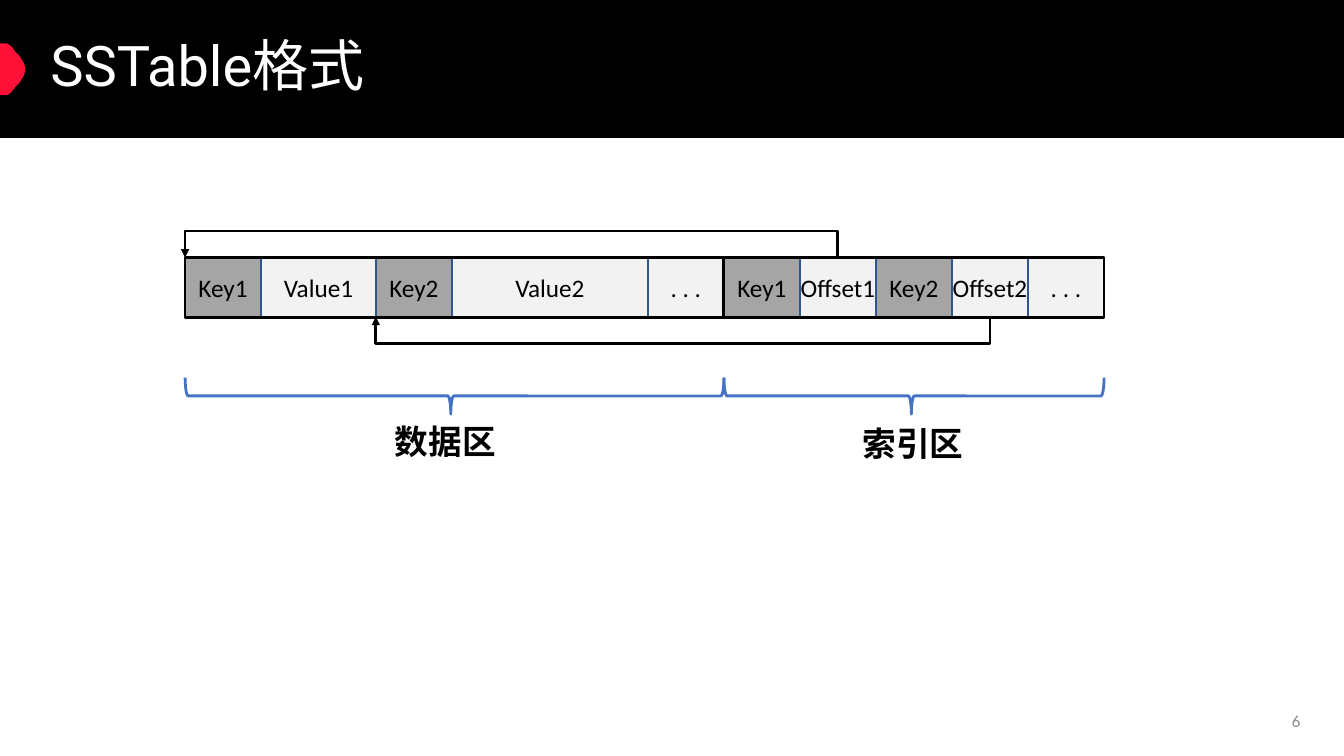
import lxml.etree
import pptx
import pptx.dml.color
import pptx.enum.shapes
import pptx.enum.text
import pptx.oxml.ns
import pptx.util

Pt = pptx.util.Pt
SHAPE = pptx.enum.shapes.MSO_SHAPE
ALIGN = pptx.enum.text.PP_ALIGN
ANCHOR = pptx.enum.text.MSO_ANCHOR
qn = pptx.oxml.ns.qn

COLORS = {"black": "000000", "white": "FFFFFF", "red": "FF1037", "key": "A5A5A5",
          "value": "F2F2F2", "cell_line": "325491", "brace": "4472C4", "number": "8C8C8C"}
UNIT = 54.3
DATA = [("Key1", UNIT), ("Value1", 82), ("Key2", UNIT), ("Value2", 140), (". . .", UNIT)]
INDEX = [(t, UNIT) for t in ("Key1", "Offset1", "Key2", "Offset2", ". . .")]


def rgb(name):
    """Return the named colour."""
    return pptx.dml.color.RGBColor.from_string(COLORS[name])


def paint(sp, fill=None, line=None, width=1):
    """Set fill, line and shadow of a shape."""
    sp.shadow.inherit = False
    for fmt, color in ((sp.fill, fill), (sp.line.fill, line)):
        if color:
            fmt.solid()
            fmt.fore_color.rgb = rgb(color)
        else:
            fmt.background()
    if line:
        sp.line.width = Pt(width)


def write(sp, text, color="black", align=ALIGN.CENTER, inset=0, wrap=True, **font):
    """Write one formatted paragraph into a shape."""
    tf = sp.text_frame
    frame = {"word_wrap": wrap, "vertical_anchor": ANCHOR.MIDDLE,
             "auto_size": pptx.enum.text.MSO_AUTO_SIZE.NONE,
             "margin_left": Pt(inset), "margin_right": Pt(inset)}
    for key, value in frame.items():
        setattr(tf, key, value)
    p = tf.paragraphs[0]
    p.alignment = align
    r = p.add_run()
    r.text = text
    r.font.color.rgb = rgb(color)
    for key, value in {"name": "Calibri", "size": Pt(18), **font}.items():
        setattr(r.font, key, value)
    return p


def add_box(s, x, y, w, h, kind=SHAPE.RECTANGLE, **look):
    """Add a painted preset shape."""
    sp = s.shapes.add_shape(kind, Pt(x), Pt(y), Pt(w), Pt(h))
    paint(sp, **look)
    return sp


def add_accent(s, x, y, w, h):
    """Add the rounded red accent at the slide edge."""
    right = [(0.1, 0), (0.27, 0), (0.45, 0.06), (0.63, 0.15), (0.79, 0.25), (0.92, 0.37),
             (0.98, 0.45), (1, 0.5)]
    outline = [(0, 0), *right, *[(a, 1 - b) for a, b in reversed(right)], (0, 1)]
    points = [(x + a * w, y + b * h) for a, b in outline]
    fb = s.shapes.build_freeform(*points[0], scale=Pt(1))
    fb.add_line_segments(points[1:])
    sp = fb.convert_to_shape()
    paint(sp, fill="red")
    return sp


def add_header(s, x, y, w, h):
    """Add the black band, the accent and the title."""
    band = add_box(s, x, y, w, h, fill="black")
    accent = add_accent(s, x, y + 31, 18, 37)
    title = s.shapes.title
    for sp in (band, accent):
        title._element.addprevious(sp._element)
    for key, value in zip(("left", "top", "width", "height"), (x + 28.8, y + 6.5, 907, 85)):
        setattr(title, key, Pt(value))
    p = write(title, "SSTable格式", "white", ALIGN.LEFT, 7.2, name="Roboto", size=Pt(40))
    p.line_spacing = 0.9


def add_cells(s, x, y, h, cells):
    """Add a row of cells and return its right edge."""
    for text, w in cells:
        fill = "key" if text.startswith("Key") else "value"
        sp = add_box(s, x, y, w, h, fill=fill, line="cell_line")
        write(sp, text, wrap=not text.startswith("Offset"))
        x += w
    return x


def add_pointer(s, start_x, end_x, y, reach, up):
    """Add an elbow arrow that leaves and meets one edge of the row."""
    thin, span = 0.25, start_x - end_x
    cn = s.shapes.add_connector(pptx.enum.shapes.MSO_CONNECTOR.ELBOW, 0, 0, Pt(1), Pt(1))
    box = {"left": (start_x + end_x - thin) / 2, "top": y - span / 2,
           "width": thin, "height": span}
    for key, value in box.items():
        setattr(cn, key, Pt(value))
    cn.line.color.rgb = rgb("black")
    cn.line.width = Pt(2)
    spPr = cn._element.spPr
    turn = {"rot": "16200000", "flipH": "1", "flipV": "1"} if up else {"rot": "5400000", "flipH": "1"}
    for key, value in turn.items():
        spPr.find(qn("a:xfrm")).set(key, value)
    guides = spPr.find(qn("a:prstGeom")).find(qn("a:avLst"))
    lxml.etree.SubElement(guides, qn("a:gd"), name="adj1",
                          fmla=f"val {round(-reach / thin * 100000)}")
    lxml.etree.SubElement(spPr.find(qn("a:ln")), qn("a:tailEnd"), type="triangle")
    lxml.etree.SubElement(spPr, qn("a:effectLst"))


def add_brace(s, x, y, w, h, label, label_x, label_y):
    """Add a brace under one area with its label."""
    sp = add_box(s, x + (w - h) / 2, y + (h - w) / 2, h, w, SHAPE.RIGHT_BRACE,
                 line="brace", width=2)
    sp.rotation = 90
    sp.adjustments[0], sp.adjustments[1] = 0.083, 0.507
    tb = s.shapes.add_textbox(Pt(label_x), Pt(label_y), Pt(87), Pt(36))
    write(tb, label, align=ALIGN.LEFT, inset=7.2, wrap=False, size=Pt(24), bold=True)


def add_table_layout(s, x, y, h):
    """Add the file layout: both areas, pointers, braces and frames."""
    middle = add_cells(s, x, y, h, DATA)
    right = add_cells(s, middle, y, h, INDEX)
    key2_x = x + DATA[0][1] + DATA[1][1]
    add_pointer(s, middle + 3.5 * UNIT, key2_x, y + h, 18.3, up=False)
    add_pointer(s, middle + 1.5 * UNIT, x, y, 18.3, up=True)
    add_brace(s, x, y + 86, middle - x, 26, "数据区", 275, y + 113.5)
    add_brace(s, middle, y + 86, right - middle, 26, "索引区", 609, y + 115)
    for left, end in ((x, middle), (middle, right)):
        add_box(s, left, y + 0.3, end - left, h, line="black", width=2)


def add_number(s, x, y, w, h):
    """Add the slide number."""
    tb = s.shapes.add_textbox(Pt(x), Pt(y), Pt(w), Pt(h))
    write(tb, "6", "number", ALIGN.RIGHT, 7.2, size=Pt(12))


def main():
    """Build and save the slide."""
    prs = pptx.Presentation()
    prs.slide_width, prs.slide_height = Pt(960), Pt(540)
    s = prs.slides.add_slide(prs.slide_layouts[5])
    add_header(s, 0, 0, 960, 98.6)
    add_table_layout(s, 132.2, 183.8, 42.6)
    add_number(s, 678, 500.4, 258, 28.8)
    prs.save("out.pptx")


if __name__ == "__main__":
    main()
